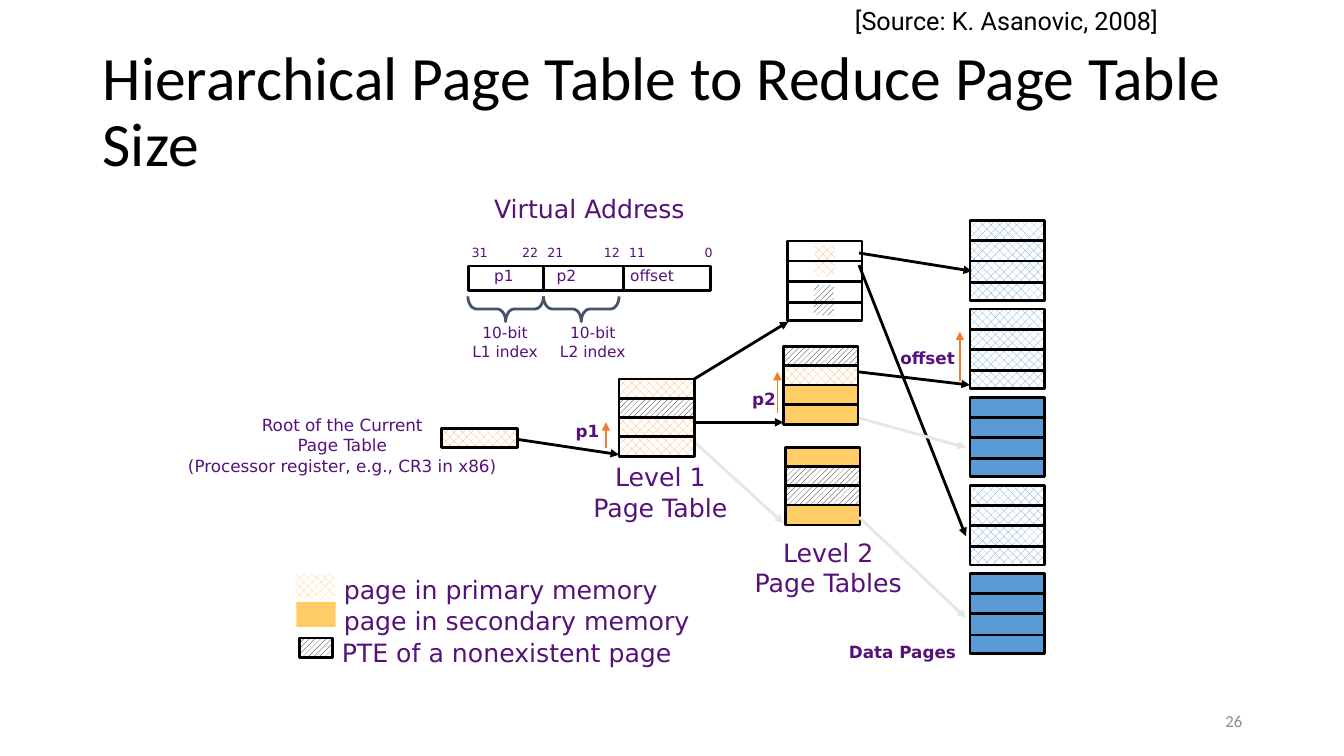
"""Build the slide on hierarchical page tables."""
from lxml import etree
from pptx import Presentation
from pptx.dml.color import RGBColor
from pptx.enum.dml import MSO_PATTERN
from pptx.enum.shapes import MSO_CONNECTOR, MSO_SHAPE
from pptx.enum.text import MSO_ANCHOR, PP_ALIGN
from pptx.oxml.ns import qn
from pptx.util import Inches, Pt

LEFT, MID, RIGHT = PP_ALIGN.LEFT, PP_ALIGN.CENTER, PP_ALIGN.RIGHT
TOP, CENTER = MSO_ANCHOR.TOP, MSO_ANCHOR.MIDDLE
MESH, HATCH = MSO_PATTERN.from_xml("pct40"), MSO_PATTERN.from_xml("wdUpDiag")
BOX, BRACE = MSO_SHAPE.RECTANGLE, MSO_SHAPE.RIGHT_BRACE
STRAIGHT = MSO_CONNECTOR.STRAIGHT


class Theme:
    black, white, gray = "000000", "FFFFFF", "8C8C8C"
    purple, pale, orange, slate = "56127A", "E7E6E6", "ED7D31", "44546A"
    blue, gold, amber = "5B9BD5", "FFCC66", "FFA74F"
    sans, head, note = "DejaVu Sans", "Calibri", "Roboto"
    title, big, small, field, bit = 44, 18, 12, 11, 9
    thick, thin = 2, 1


PRIME, VOID = (MESH, Theme.amber), (HATCH, Theme.black)
GOLD, KEY = (None, Theme.gold), (MESH, Theme.gold)
LIVE, DISK = (MESH, Theme.blue), (None, Theme.blue)
PLAIN = (None, Theme.white)

deck = Presentation()
deck.slide_width, deck.slide_height = Inches(13.33), Inches(7.5)
slide = deck.slides.add_slide(deck.slide_layouts[6])
shapes = slide.shapes


def block(x, y, w, h, paint=None, edge=Theme.black, kind=BOX):
    """Add a shape with a solid, patterned or empty fill."""
    item = shapes.add_shape(kind, Inches(x), Inches(y), Inches(w), Inches(h))
    item.shadow.inherit = False
    if paint is None:
        item.fill.background()
    elif paint[0] is None:
        item.fill.solid()
        item.fill.fore_color.rgb = RGBColor.from_string(paint[1])
    else:
        item.fill.patterned()
        item.fill.pattern = paint[0]
        item.fill.fore_color.rgb = RGBColor.from_string(paint[1])
        item.fill.back_color.rgb = RGBColor.from_string(Theme.white)
    if edge is None:
        item.line.fill.background()
    else:
        item.line.color.rgb = RGBColor.from_string(edge)
        item.line.width = Pt(Theme.thick)
    return item


def link(x1, y1, x2, y2, color=Theme.black, width=Theme.thick, arrow=True):
    """Add a straight line, with an arrowhead at its end if wanted."""
    item = shapes.add_connector(
        STRAIGHT, Inches(x1), Inches(y1), Inches(x2), Inches(y2))
    item.line.color.rgb = RGBColor.from_string(color)
    item.line.width = Pt(width)
    if arrow:
        tail = etree.SubElement(
            item._element.spPr.find(qn("a:ln")), qn("a:tailEnd"))
        tail.set("type", "triangle")
    etree.SubElement(item._element.spPr, qn("a:effectLst"))


block(8.07, 2.83, 0.2, 0.3, VOID, None)
block(8.08, 2.44, 0.2, 0.3, PRIME, None)
stacks = [(9.62, 2.19 + 0.875 * i, paint)
          for i, paint in enumerate((LIVE, LIVE, DISK, LIVE, DISK))]
for x, y, paint in stacks + [(7.81, 2.39, None)]:
    block(x, y, 0.74, 0.79, paint)
    for step in (0.2, 0.4, 0.61):
        link(x, y + step, x + 0.74, y + step, arrow=False)

for i, paint in enumerate((GOLD, VOID, VOID, GOLD)):
    block(7.79, 4.44 + 0.19 * i, 0.74, 0.2, paint)

for ends in (
    (8.52, 3.69, 9.62, 3.82),
    (6.87, 3.77, 7.82, 3.19),
    (6.83, 4.19, 7.77, 4.19),
    (8.52, 2.51, 9.64, 2.69),
    (8.52, 2.63, 9.58, 5.32),
    (5.14, 4.36, 6.14, 4.51),
):
    link(*ends)
for ends in (
    (6.86, 4.36, 7.77, 5.19),
    (8.46, 4.13, 9.58, 4.44),
    (8.52, 5.13, 9.58, 6.13),
):
    link(*ends, color=Theme.pale)
for x, low, high in ((6.01, 4.44, 4.19), (7.71, 4.1, 3.69), (9.52, 3.78, 3.29)):
    link(x, low, x, high, Theme.orange, Theme.thin)

for x, y, w, paints in (
    (6.14, 3.76, 0.75, (PRIME, VOID, PRIME, PRIME)),
    (7.77, 3.44, 0.74, (VOID, PRIME, GOLD, GOLD)),
):
    for i, paint in enumerate(paints):
        block(x, y + 0.19 * i, w, 0.2, paint)
block(4.38, 4.25, 0.75, 0.19, PRIME)

block(4.65, 2.64, 2.4, 0.24, PLAIN)
for x in (5.39, 6.18):
    link(x, 2.65, x, 2.88, arrow=False)
for x in (4.89, 5.64):
    brace = block(x, 2.69, 0.25, 0.75, None, Theme.slate, BRACE)
    brace.rotation = 90
    brace.adjustments[0] = 0.34

block(2.93, 5.69, 0.39, 0.25, KEY, None)
block(2.94, 5.97, 0.39, 0.25, GOLD, None)
block(2.97, 6.33, 0.33, 0.19, VOID)

big, small, field, bit = [
    (Theme.sans, size, Theme.purple)
    for size in (Theme.big, Theme.small, Theme.field, Theme.bit)]
tight, loose = (0.07, 0.04), (0.1, 0.05)
labels = [
    ("Level 1\nPage Table", 5.8, 4.54, 1.5, 0.68, big, MID, False, tight),
    ("Level 2\nPage Tables", 7.37, 5.29, 1.69, 0.68, big, MID, False, tight),
    ("Data Pages", 8.35, 6.33, 1.21, 0.28, small, LEFT, True, tight),
    ("page in primary memory\npage in secondary memory",
     3.34, 5.66, 3.61, 0.68, big, LEFT, False, tight),
    ("PTE of a nonexistent page",
     3.32, 6.28, 3.47, 0.38, big, LEFT, False, tight),
    ("Root of the Current\nPage Table",
     2.5, 4.07, 1.79, 0.48, small, MID, False, tight),
    ("(Processor register, e.g., CR3 in x86)",
     1.75, 4.48, 3.29, 0.28, small, MID, False, tight),
    ("p1", 5.64, 4.13, 0.39, 0.28, small, LEFT, True, tight),
    ("offset", 8.86, 3.41, 0.7, 0.28, small, LEFT, True, tight),
    ("p2", 7.39, 3.82, 0.39, 0.28, small, LEFT, True, tight),
    ("Virtual Address", 4.83, 1.88, 2.08, 0.38, big, LEFT, False, tight),
    ("p1", 4.83, 2.6, 0.35, 0.26, field, LEFT, False, tight),
    ("p2", 5.45, 2.6, 0.35, 0.26, field, LEFT, False, tight),
    ("offset", 6.18, 2.6, 0.59, 0.26, field, LEFT, False, tight),
    ("10-bit\nL1 index", 4.58, 3.16, 0.86, 0.47, field, MID, False, loose),
    ("10-bit\nL2 index", 5.45, 3.16, 0.86, 0.47, field, MID, False, loose),
    ("[Source: K. Asanovic, 2008]", 8.38, 0, 3.31, 0.4,
     (Theme.note, Theme.big, Theme.black), LEFT, False, loose),
]
labels += [
    (text, x, 2.38, 0.38, 0.25, bit, LEFT, False, loose)
    for text, x in (("31", 4.58), ("22", 5.08), ("21", 5.33),
                    ("12", 5.89), ("11", 6.14), ("0", 6.89))]
title = ("Hierarchical Page Table to Reduce Page Table Size",
         0.92, 0.4, 11.5, 1.45, (Theme.head, Theme.title, Theme.black),
         LEFT, False, loose)
number = ("26", 9.42, 6.95, 3, 0.4, (Theme.head, Theme.small, Theme.gray),
          RIGHT, False, loose)

for label in labels + [title, number]:
    text, x, y, w, h, (face, size, color), align, bold, (side, edge) = label
    area = shapes.add_textbox(Inches(x), Inches(y), Inches(w), Inches(h))
    frame = area.text_frame
    frame.text = text
    frame.word_wrap = label in (title, number)
    frame.vertical_anchor = CENTER if label in (title, number) else TOP
    frame.margin_left = frame.margin_right = Inches(side)
    frame.margin_top = frame.margin_bottom = Inches(edge)
    for line in frame.paragraphs:
        line.alignment = align
        line.line_spacing = 0.9 if label is title else 1.0
        for run in line.runs:
            run.font.name, run.font.size = face, Pt(size)
            run.font.bold = bold
            run.font.color.rgb = RGBColor.from_string(color)

deck.save("out.pptx")
